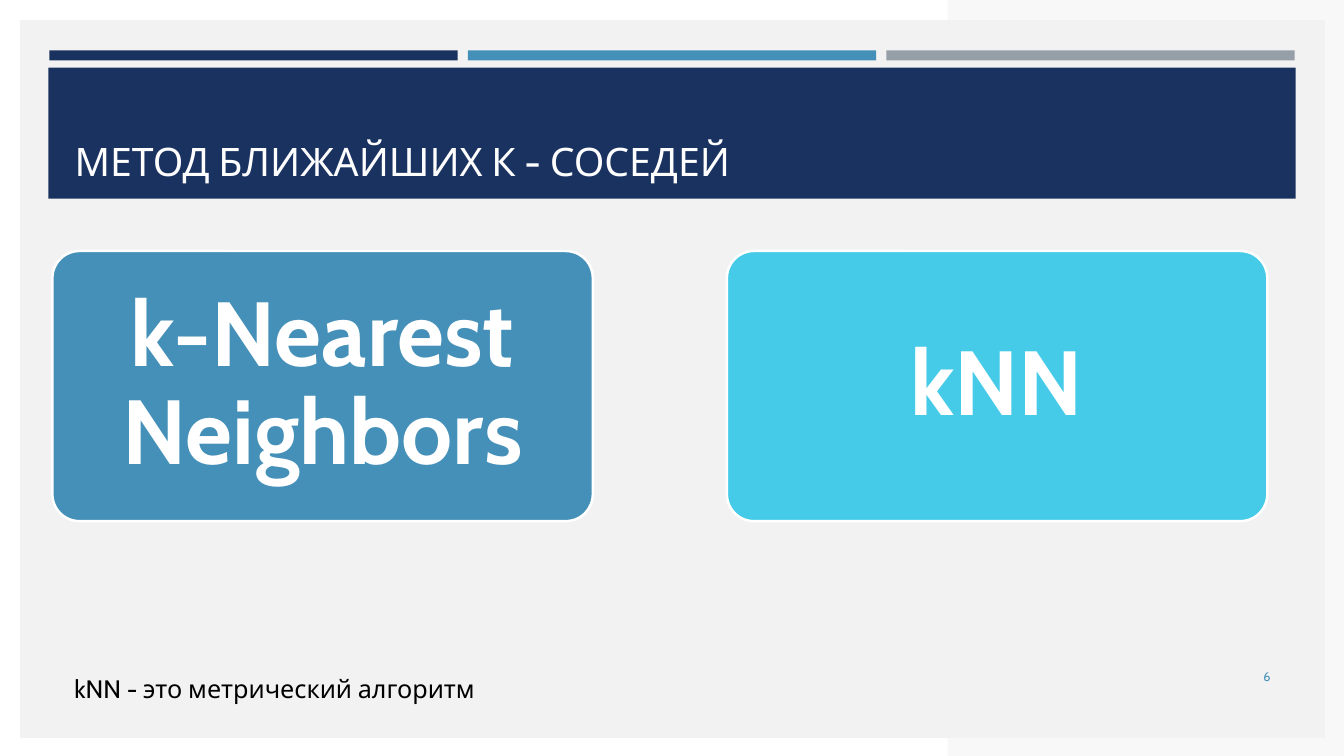
from lxml import etree
from pptx import Presentation
from pptx.dml.color import RGBColor
from pptx.enum.shapes import MSO_SHAPE
from pptx.enum.text import MSO_ANCHOR, MSO_AUTO_SIZE, PP_ALIGN
from pptx.oxml.ns import qn
from pptx.util import Pt

PX = 9144  # EMU per px, 100 px to the inch
WIDTH, HEIGHT = 1333, 750
FONT = "Cabin"
NAVY, BLUE, CYAN, GREY = "1A3260", "4590B8", "45CBE8", "969FA7"
PALE, WHITE, BLACK = "F2F2F2", "FFFFFF", "000000"
RECT, ROUNDED = MSO_SHAPE.RECTANGLE, MSO_SHAPE.ROUNDED_RECTANGLE
LEFT, CENTER, RIGHT = PP_ALIGN.LEFT, PP_ALIGN.CENTER, PP_ALIGN.RIGHT
MIDDLE, BOTTOM, TOP = MSO_ANCHOR.MIDDLE, MSO_ANCHOR.BOTTOM, MSO_ANCHOR.TOP


def emu(*lengths):
    return [length * PX for length in lengths]


def paint(color_format, color):
    color_format.rgb = RGBColor.from_string(color)


def fill_shape(shape, color):
    shape.shadow.inherit = False
    shape.fill.solid()
    paint(shape.fill.fore_color, color)
    shape.line.fill.background()


def add_block(page, box, color, kind=RECT):
    block = page.shapes.add_shape(kind, *emu(*box))
    fill_shape(block, color)
    return block


def write(shape, text, size, color, align=LEFT, anchor=TOP, bold=False):
    frame = shape.text_frame
    frame.word_wrap = True
    frame.auto_size = MSO_AUTO_SIZE.NONE
    frame.vertical_anchor = anchor
    frame.text = text
    para = frame.paragraphs[0]
    para.alignment = align
    para.font.name, para.font.size, para.font.bold = FONT, Pt(size), bold
    paint(para.font.color, color)
    return para


def add_note(page, box, text, size, color, align=LEFT, anchor=TOP):
    note = page.shapes.add_textbox(*emu(*box))
    write(note, text, size, color, align, anchor).space_after = Pt(6)


def add_backdrop(page, box, bracket_left):
    """Pale panel and a half-transparent bracket around its right part."""
    left, top, width, height = box
    add_block(page, box, PALE)
    right, bottom = left + width, top + height - 2
    outline = [(WIDTH, 0), (WIDTH, HEIGHT), (bracket_left, HEIGHT),
               (bracket_left, bottom), (right, bottom), (right, top),
               (bracket_left, top)]
    builder = page.shapes.build_freeform(bracket_left, 0, scale=PX)
    builder.add_line_segments(outline, close=True)
    bracket = builder.convert_to_shape()
    fill_shape(bracket, PALE)
    tint = bracket.fill._xPr.find(".//" + qn("a:srgbClr"))
    etree.SubElement(tint, qn("a:alpha")).set("val", "50000")


def add_header(page, box, text):
    """Three stripes over a title banner."""
    left, top, width, height = box
    stripe_width, gap = 405, 10
    for index, color in enumerate((NAVY, BLUE, GREY)):
        stripe_left = left + 1 + index * (stripe_width + gap)
        add_block(page, (stripe_left, top, stripe_width, 10), color)
    add_block(page, (left, top + 17, width, height - 17), NAVY)

    title = page.shapes.title
    page.shapes._spTree.append(title._element)  # bring in front of the banner
    title.left, title.top, title.width, title.height = emu(
        left + 16, top + 27, width - 31, height - 36)
    write(title, text, 28, "FFFEFF", anchor=BOTTOM)


def add_cards(page, box, cards):
    """Equal rounded cards spread over the width of the box."""
    left, top, width, height = box
    card_width = 2 * height
    step = (width - card_width) // (len(cards) - 1)
    for index, (text, color) in enumerate(cards):
        card_box = (left + index * step, top, card_width, height)
        card = add_block(page, card_box, color, ROUNDED)
        card.adjustments[0] = 0.1
        paint(card.line.color, WHITE)
        card.line.width = Pt(1.75)
        para = write(card, text, 65, WHITE, CENTER, MIDDLE, bold=True)
        para.line_spacing = 0.9


def add_footer(page, box, text, number):
    left, top, width, height = box
    add_note(page, (left + width - 115, top, 115, 40), number, 9, BLUE,
             RIGHT, MIDDLE)
    add_note(page, (left, top + height - 40, 667, 40), text, 18, BLACK)


def main():
    deck = Presentation()
    deck.slide_width, deck.slide_height = emu(WIDTH, HEIGHT)
    page = deck.slides.add_slide(deck.slide_layouts[5])
    page.background.fill.solid()
    paint(page.background.fill.fore_color, WHITE)

    add_backdrop(page, (20, 20, 1294, 712), 940)
    add_header(page, (48, 50, 1237, 147), "МЕТОД БЛИЖАЙШИХ К - СОСЕДЕЙ")
    add_footer(page, (64, 651, 1206, 52), "kNN - это метрический алгоритм", "6")
    add_cards(page, (52, 249, 1205, 268),
              [("k-Nearest Neighbors", BLUE), ("kNN", CYAN)])
    deck.save("out.pptx")


if __name__ == "__main__":
    main()
